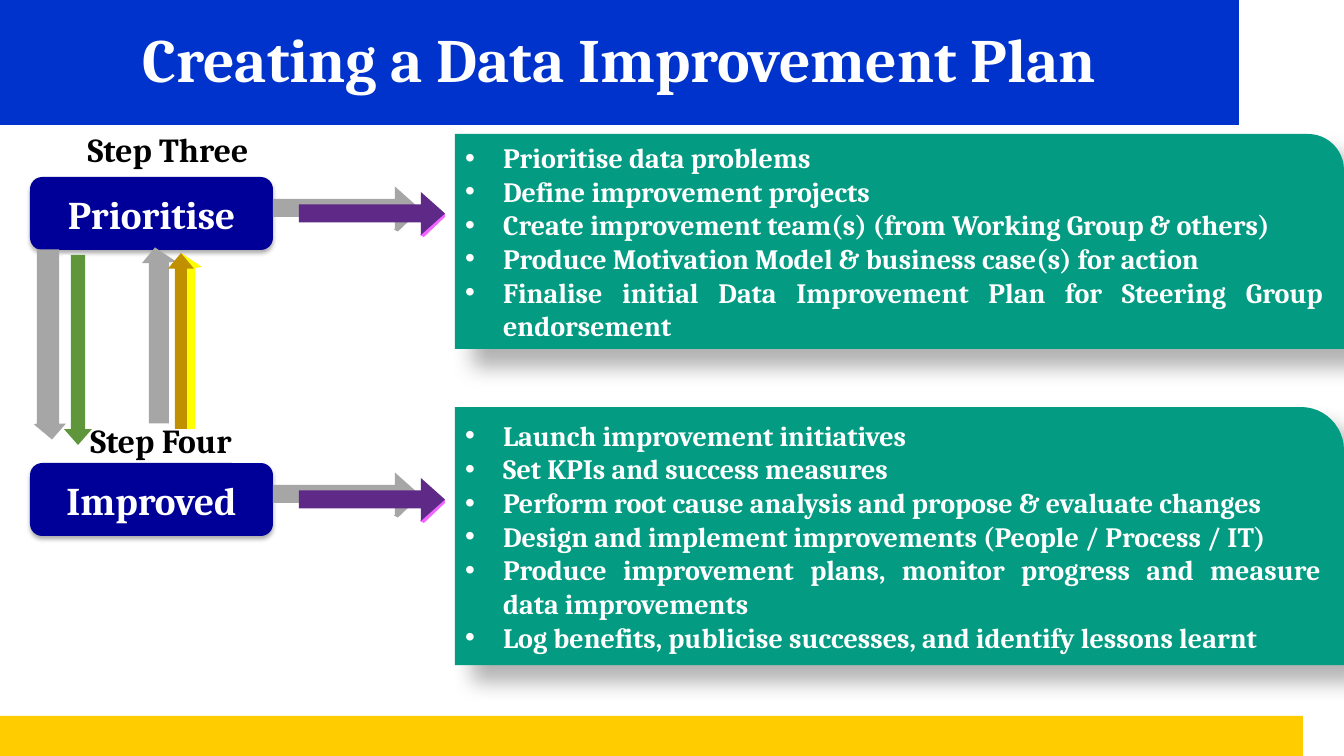
from lxml import etree
from pptx import Presentation
from pptx import util as u
from pptx.dml.color import RGBColor
from pptx.enum import shapes, text
from pptx.oxml.ns import qn

# Content
TITLE = "Creating a Data Improvement Plan"
STEPS = [
    dict(label="Step Three", label_box=(67, 124, 202, 50),
         name="Prioritise", name_y=177, panel_y=134, panel_h=215,
         tasks=["Prioritise data problems",
                "Define improvement projects",
                "Create improvement team(s) (from Working Group & others)",
                "Produce Motivation Model & business case(s) for action",
                "Finalise initial Data Improvement Plan for Steering Group endorsement"]),
    dict(label="Step Four", label_box=(67, 415, 188, 50),
         name="Improved", name_y=463, panel_y=407, panel_h=258,
         tasks=["Launch improvement initiatives",
                "Set KPIs and success measures",
                "Perform root cause analysis and propose & evaluate changes",
                "Design and implement improvements (People / Process / IT)",
                "Produce improvement plans, monitor progress and measure data improvements",
                "Log benefits, publicise successes, and identify lessons learnt"]),
]
COLORS = dict(white="FFFFFF", black="000000", title="0033CC", bar="FFCC00",
              step="000099", panel="039B82", cast="A6A6A6",
              purple="5F2987", purple_side="F066FF",
              gold="C09000", gold_side="FFFF00", green="5F963C")
FONT = "Cambria"
MSO = shapes.MSO_SHAPE
CENTER, JUSTIFY = text.PP_ALIGN.CENTER, text.PP_ALIGN.JUSTIFY

# Shadows: colour, opacity %, blur pt, distance pt, direction in degrees
STEP_SHADOW = ("black", 32, 3.5, 2.2, 90)
PANEL_SHADOW = ("black", 30, 15, 18, 45)
ARROW_SHADOW = ("cast", 100, 0, 19, 192)

# Arrows: shape, box, shaft and head ratios, turn, face, side, side outline
RIGHT = (MSO.RIGHT_ARROW, (299, 192, 146, 43), (0.42, 0.56), 0, "purple",
         "purple_side", [(445, 213), (445, 217), (424, 237), (420, 235)])
UP = (MSO.UP_ARROW, (168, 253, 26, 176), (0.46, 0.6), 0, "gold", "gold_side",
      [(181, 253), (202, 267), (195, 268), (195, 429), (187, 429), (187, 268)])
DOWN = (MSO.UP_ARROW, (64, 255, 28, 190), (0.5, 0.57), 180, "green", "white",
        [(63, 255), (71, 255), (71, 429), (78, 445), (60, 430), (63, 429)])


def px(n):
    return u.Emu(round(n * 914400 / 100.8))


def rgb(name):
    return RGBColor.from_string(COLORS[name])


def place(sp, box):
    sp.left, sp.top, sp.width, sp.height = map(px, box)


def paint(sp, color, shadow=None):
    sp.fill.solid()
    sp.fill.fore_color.rgb = rgb(color)
    sp.line.fill.background()
    sp.shadow.inherit = False
    if shadow:
        name, opacity, blur, dist, angle = shadow
        effects = sp._element.spPr.find(qn("a:effectLst"))
        outer = etree.SubElement(effects, qn("a:outerShdw"),
                                 blurRad=str(u.Pt(blur)), dist=str(u.Pt(dist)),
                                 dir=str(angle * 60000), algn="tl", rotWithShape="0")
        clr = etree.SubElement(outer, qn("a:srgbClr"), val=COLORS[name])
        etree.SubElement(clr, qn("a:alpha"), val=str(opacity * 1000))


def write(sp, lines, size, color, align, bullets=False, spacing=1.0):
    tf = sp.text_frame
    tf.word_wrap = True
    tf.auto_size = text.MSO_AUTO_SIZE.NONE
    tf.vertical_anchor = text.MSO_ANCHOR.MIDDLE
    for i, line in enumerate(lines):
        p = tf.paragraphs[0] if i == 0 else tf.add_paragraph()
        if bullets:
            pPr = p._p.get_or_add_pPr()
            pPr.set("marL", str(px(38)))
            pPr.set("indent", str(-px(38)))
            etree.SubElement(pPr, qn("a:buFont"), typeface="Arial")
            etree.SubElement(pPr, qn("a:buChar"), char="•")
        p.alignment = align
        p.line_spacing = spacing
        p.space_before = p.space_after = u.Pt(0)
        r = p.add_run()
        r.text = line
        r.font.name, r.font.size, r.font.bold = FONT, u.Pt(size), True
        r.font.color.rgb = rgb(color)


def add_arrow(s, arrow, dy=0):
    kind, (x, y, w, h), ratios, turn, face, side, outline = arrow
    points = [(px(a), px(b + dy)) for a, b in outline]
    fb = s.shapes.build_freeform(*points[0])
    fb.add_line_segments(points[1:], close=True)
    paint(fb.convert_to_shape(), side, ARROW_SHADOW)
    sp = s.shapes.add_shape(kind, *map(px, (x, y + dy, w, h)))
    sp.adjustments[0], sp.adjustments[1] = ratios
    sp.rotation = turn
    paint(sp, face, ARROW_SHADOW)


def main():
    prs = Presentation()
    prs.slide_width, prs.slide_height = px(1344), px(756)
    s = prs.slides.add_slide(prs.slide_layouts.get_by_name("Two Content"))
    title, *panels = s.placeholders

    # Title band and bottom bar
    place(title, (0, 0, 1239, 125))
    paint(title, "title")
    write(title, [TITLE], 44, "white", CENTER, spacing=0.9)
    bar = s.shapes.add_shape(MSO.RECTANGLE, *map(px, (0, 716, 1303, 40)))
    paint(bar, "bar")

    # Steps with their task panels
    for step, panel in zip(STEPS, panels):
        place(panel, (455, step["panel_y"], 889, step["panel_h"]))
        geom = etree.SubElement(panel._element.spPr, qn("a:prstGeom"), prst="round1Rect")
        etree.SubElement(geom, qn("a:avLst"))
        paint(panel, "panel", PANEL_SHADOW)
        write(panel, step["tasks"], 20, "white", JUSTIFY, bullets=True)

        name = s.shapes.add_shape(MSO.ROUNDED_RECTANGLE,
                                  *map(px, (30, step["name_y"], 243, 73)))
        paint(name, "step", STEP_SHADOW)
        write(name, [step["name"]], 28, "white", CENTER)

        label = s.shapes.add_textbox(*map(px, step["label_box"]))
        write(label, [step["label"]], 24, "black", CENTER)

    # Arrows to the panels and between the steps
    for step in STEPS:
        add_arrow(s, RIGHT, step["name_y"] - STEPS[0]["name_y"])
    add_arrow(s, UP)
    add_arrow(s, DOWN)

    prs.save("out.pptx")


if __name__ == "__main__":
    main()
